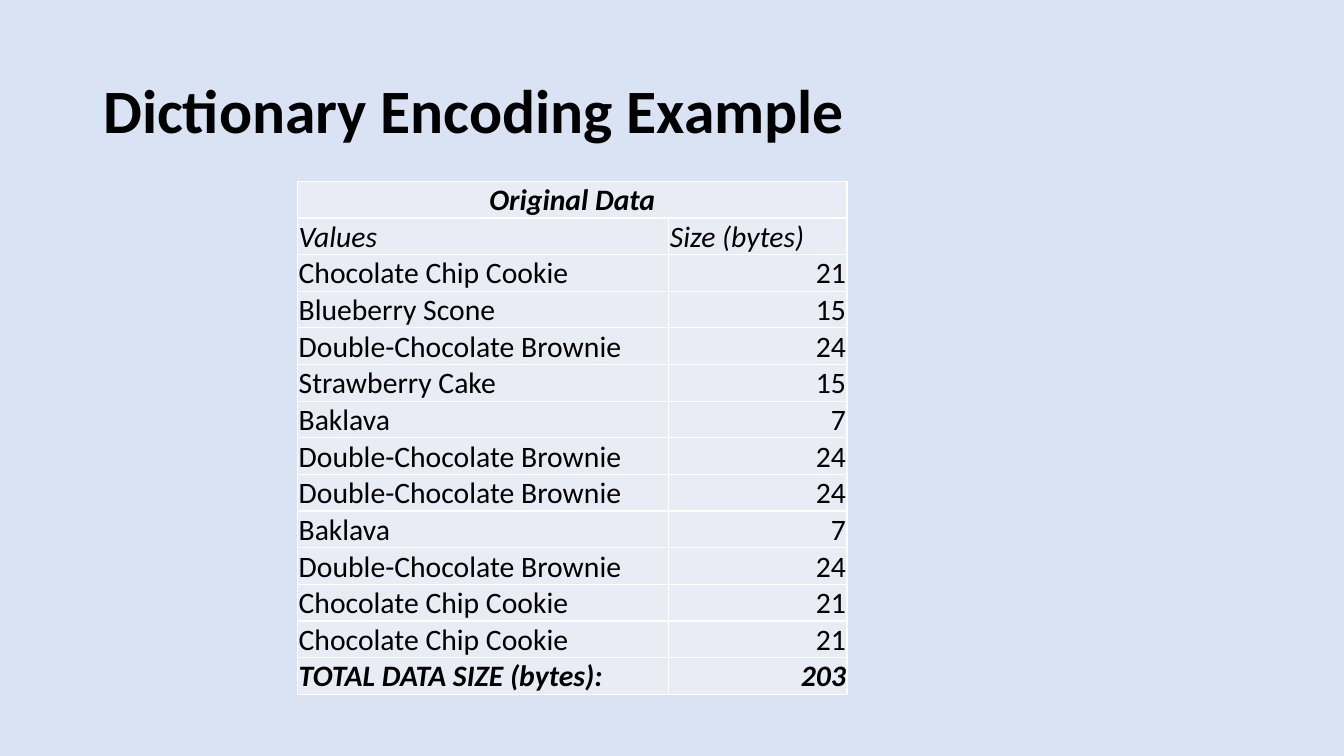
from dataclasses import dataclass

from lxml import etree
from pptx import Presentation
from pptx import util as u
from pptx.dml.color import RGBColor
from pptx.enum import text
from pptx.oxml.ns import qn


@dataclass(frozen=True)
class Theme:
    """Colours and type of the slide."""
    font: str = "Calibri"
    ink: str = "000000"
    background: str = "DAE3F3"
    cell: str = "E9EBF5"
    border: str = "FFFFFF"
    title_size: float = 41.6
    table_size: float = 20


def assign(target, values):
    """Set each named attribute of the target."""
    for name, value in values.items():
        setattr(target, name, value)


class SlideBuilder:
    """Draws elements on one slide, placed on a grid of columns and rows."""
    COLUMNS, ROWS = 126, 70.9

    def __init__(self, deck, theme):
        """Add a blank page with the theme's background."""
        self.deck, self.theme = deck, theme
        self.page = deck.slides.add_slide(deck.slide_layouts[6])
        self.fill(self.page.background, theme.background)

    def across(self, columns):
        """Turn grid columns into a length."""
        return u.Emu(round(self.deck.slide_width * columns / self.COLUMNS))

    def down(self, rows):
        """Turn grid rows into a length."""
        return u.Emu(round(self.deck.slide_height * rows / self.ROWS))

    def area(self, left, top, width, height):
        """Turn a grid area into four lengths."""
        return self.across(left), self.down(top), self.across(width), self.down(height)

    def fill(self, target, colour):
        """Give the target a solid fill."""
        target.fill.solid()
        target.fill.fore_color.rgb = RGBColor.from_string(colour)

    def add_span(self, para, words, size, align=text.PP_ALIGN.LEFT, **style):
        """Put one styled span in a paragraph."""
        para.alignment = align
        span = para.add_run()
        span.text = words
        assign(span.font, {"name": self.theme.font, "size": u.Pt(size), **style})
        span.font.color.rgb = RGBColor.from_string(self.theme.ink)

    def title(self, words, *area):
        """Add the heading, centred vertically in its area."""
        frame = self.page.shapes.add_textbox(*self.area(*area)).text_frame
        assign(frame, {"word_wrap": True, "vertical_anchor": text.MSO_ANCHOR.MIDDLE})
        para = frame.paragraphs[0]
        para.line_spacing = 0.9
        self.add_span(para, words, self.theme.title_size, bold=True)

    def format_cell(self, cell):
        """Set margins, anchor, borders and fill of a table cell."""
        edge = u.Inches(0.01)
        assign(cell, {"margin_left": edge, "margin_right": edge, "margin_top": edge,
                      "margin_bottom": 0, "vertical_anchor": text.MSO_ANCHOR.BOTTOM})
        properties = cell._tc.get_or_add_tcPr()
        for side in ("a:lnL", "a:lnR", "a:lnT", "a:lnB"):
            line = etree.SubElement(properties, qn(side), w=str(u.Pt(1)))
            solid = etree.SubElement(line, qn("a:solidFill"))
            etree.SubElement(solid, qn("a:srgbClr"), val=self.theme.border)
        self.fill(cell, self.theme.cell)

    def table(self, rows, widths, left, top, height):
        """Add a table of (texts, style) rows; a single text spans its row."""
        area = self.area(left, top, sum(widths), height)
        grid = self.page.shapes.add_table(len(rows), len(widths), *area).table
        for column, width in zip(grid.columns, widths):
            column.width = self.across(width)
        for cell in grid.iter_cells():
            self.format_cell(cell)
        for index, (texts, style) in enumerate(rows):
            grid.rows[index].height = self.down(height / len(rows))
            if len(texts) == 1:
                grid.cell(index, 0).merge(grid.cell(index, len(widths) - 1))
            for column, value in enumerate(texts):
                if len(texts) == 1:
                    align = text.PP_ALIGN.CENTER
                elif isinstance(value, int):
                    align = text.PP_ALIGN.RIGHT
                else:
                    align = text.PP_ALIGN.LEFT
                para = grid.cell(index, column).text_frame.paragraphs[0]
                self.add_span(para, str(value), self.theme.table_size, align, **style)


def data_rows():
    """List the table rows; a value takes one byte per character."""
    cookie, brownie = "Chocolate Chip Cookie", "Double-Chocolate Brownie"
    values = [cookie, "Blueberry Scone", brownie, "Strawberry Cake", "Baklava",
              brownie, brownie, "Baklava", brownie, cookie, cookie]
    plain = {"bold": False, "italic": False}
    label = {"bold": False, "italic": True}
    strong = {"bold": True, "italic": True}
    return [
        (["Original Data"], strong),
        (["Values", "Size (bytes)"], label),
        *[([value, len(value)], plain) for value in values],
        (["TOTAL DATA SIZE (bytes):", sum(map(len, values))], strong),
    ]


def main():
    """Build and save the deck."""
    deck = Presentation()
    assign(deck, {"slide_width": u.Inches(12.6), "slide_height": u.Inches(7.09)})
    slide = SlideBuilder(deck, Theme())
    slide.title("Dictionary Encoding Example", 8.7, 3.8, 108.7, 13.7)
    slide.table(data_rows(), [34.8, 16.7], left=27.9, top=17, height=48.1)
    deck.save("out.pptx")


main()
